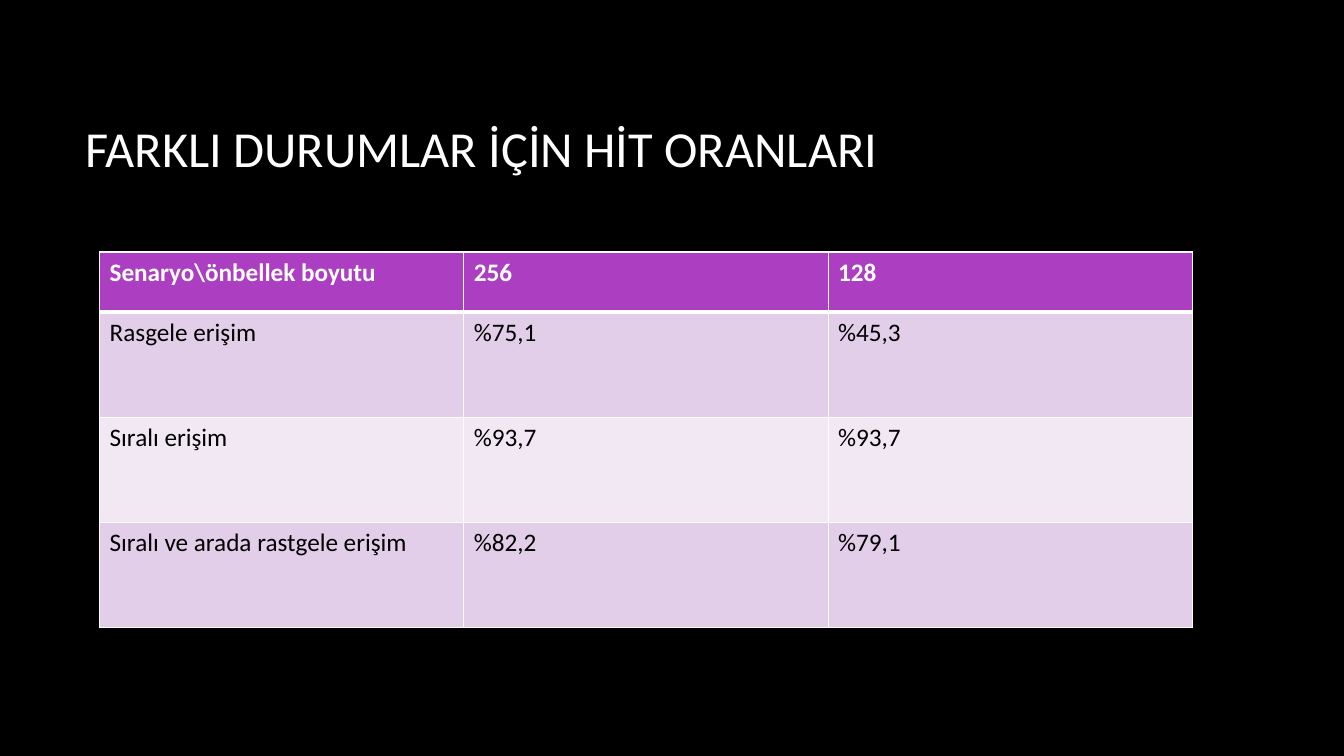
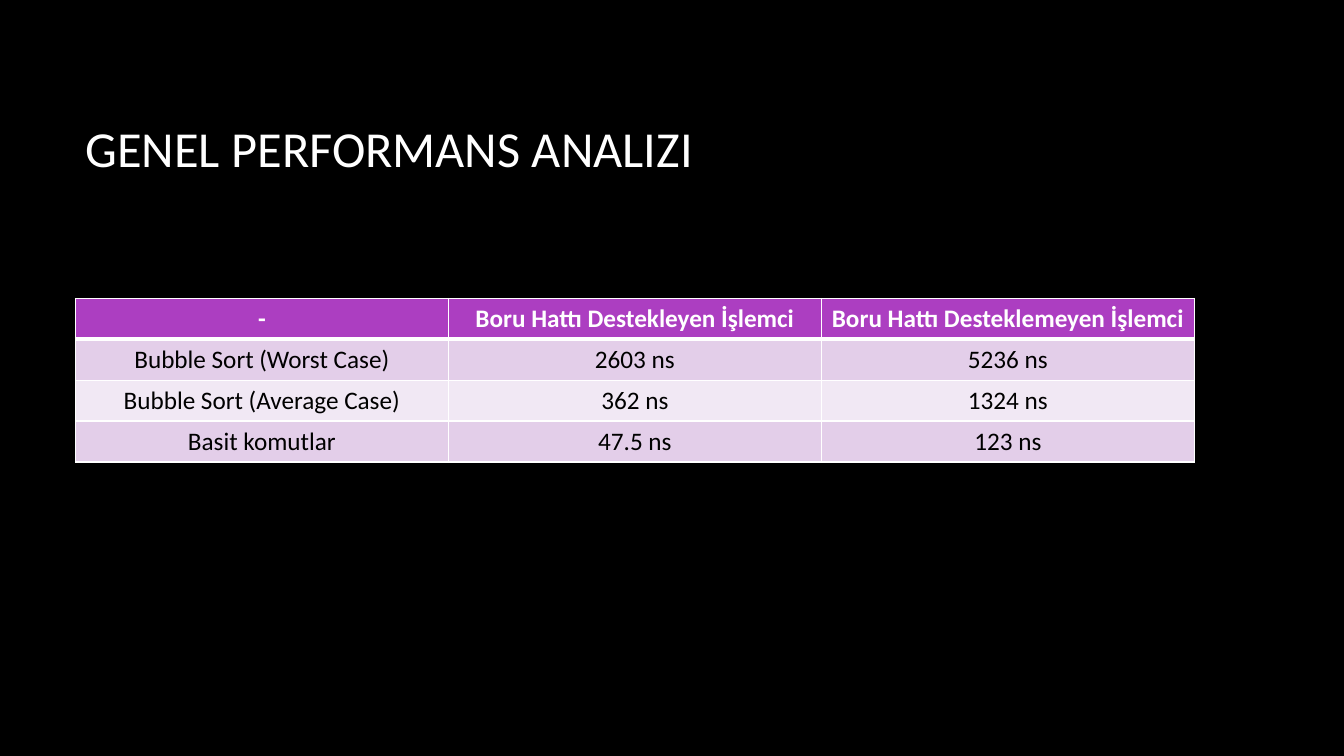
"""Build two dark slides, each with a title and a banded table."""
from dataclasses import dataclass

from lxml import etree
from pptx import Presentation
from pptx import util as u
from pptx.dml.color import RGBColor
from pptx.enum import text
from pptx.oxml.ns import qn


@dataclass(frozen=True)
class Theme:
    font: str = "Calibri"
    back: str = "000000"
    light: str = "FFFFFF"
    dark: str = "000000"
    head: str = "AC3EC1"
    bands: tuple[str, str] = ("E3CEE9", "F1E8F4")
    title: int = 36
    body: int = 18
    thin: int = 1
    thick: int = 3


@dataclass(frozen=True)
class Page:
    title: str
    left: float
    top: float
    col: float
    first: float
    rest: float
    align: text.PP_ALIGN
    rows: tuple[tuple[str, ...], ...]


THEME = Theme()
PAGES = (
    Page("FARKLI DURUMLAR İÇİN HİT ORANLARI", 2.51, 6.35, 9.18, 1.52, 2.65,
         text.PP_ALIGN.LEFT, (
             ("Senaryo\\önbellek boyutu", "256", "128"),
             ("Rasgele erişim", "%75,1", "%45,3"),
             ("Sıralı erişim", "%93,7", "%93,7"),
             ("Sıralı ve arada rastgele erişim", "%82,2", "%79,1"))),
    Page("GENEL PERFORMANS ANALIZI", 1.9, 7.52, 9.4, 1.03, 1.03,
         text.PP_ALIGN.CENTER, (
             ("-", "Boru Hattı Destekleyen İşlemci",
              "Boru Hattı Desteklemeyen İşlemci"),
             ("Bubble Sort (Worst Case)", "2603 ns", "5236 ns"),
             ("Bubble Sort (Average Case)", "362 ns", "1324 ns"),
             ("Basit komutlar", "47.5 ns", "123 ns"))),
)


def write(frame, words: str, size: int, color: str, bold: bool, align) -> None:
    frame.text = words
    line = frame.paragraphs[0]
    line.alignment = align
    for run in line.runs:
        font = run.font
        font.name, font.size, font.bold = THEME.font, u.Pt(size), bold
        font.color.rgb = RGBColor.from_string(color)


def edge(cell, side: str, width: int) -> None:
    props = cell._tc.get_or_add_tcPr()
    line = etree.SubElement(props, qn(f"a:ln{side}"), w=str(u.Pt(width)))
    fill = etree.SubElement(line, qn("a:solidFill"))
    etree.SubElement(fill, qn("a:srgbClr"), val=THEME.light)


def paint(cell, words: str, row: int, align) -> None:
    head = row == 0
    top = THEME.thick if row == 1 else THEME.thin
    base = THEME.thick if head else THEME.thin
    for side, width in zip("LRTB", (THEME.thin, THEME.thin, top, base)):
        edge(cell, side, width)
    cell.fill.solid()
    shade = THEME.head if head else THEME.bands[(row - 1) % 2]
    cell.fill.fore_color.rgb = RGBColor.from_string(shade)
    color = THEME.light if head else THEME.dark
    write(cell.text_frame, words, THEME.body, color, head, align)


def add_title(slide, words: str) -> None:
    title = slide.shapes.title
    title.left, title.top = u.Cm(1.9), u.Cm(1.7)
    title.width, title.height = u.Cm(28.14), u.Cm(4.04)
    title.text_frame.vertical_anchor = text.MSO_ANCHOR.MIDDLE
    write(title.text_frame, words, THEME.title, THEME.light, False,
          text.PP_ALIGN.LEFT)


def add_grid(slide, page: Page) -> None:
    count, cols = len(page.rows), len(page.rows[0])
    tall = page.first + page.rest * (count - 1)
    grid = slide.shapes.add_table(
        count, cols, u.Cm(page.left), u.Cm(page.top),
        u.Cm(page.col * cols), u.Cm(tall)).table
    for col in grid.columns:
        col.width = u.Cm(page.col)
    for row, words in enumerate(page.rows):
        grid.rows[row].height = u.Cm(page.rest if row else page.first)
        for col, word in enumerate(words):
            paint(grid.cell(row, col), word, row, page.align)


def main() -> None:
    deck = Presentation()
    deck.slide_width, deck.slide_height = u.Cm(33.87), u.Cm(19.05)
    back = deck.slide_master.background.fill
    back.solid()
    back.fore_color.rgb = RGBColor.from_string(THEME.back)
    layout = deck.slide_layouts.get_by_name("Title Only")
    for page in PAGES:
        slide = deck.slides.add_slide(layout)
        add_title(slide, page.title)
        add_grid(slide, page)
    deck.save("out.pptx")


if __name__ == "__main__":
    main()
